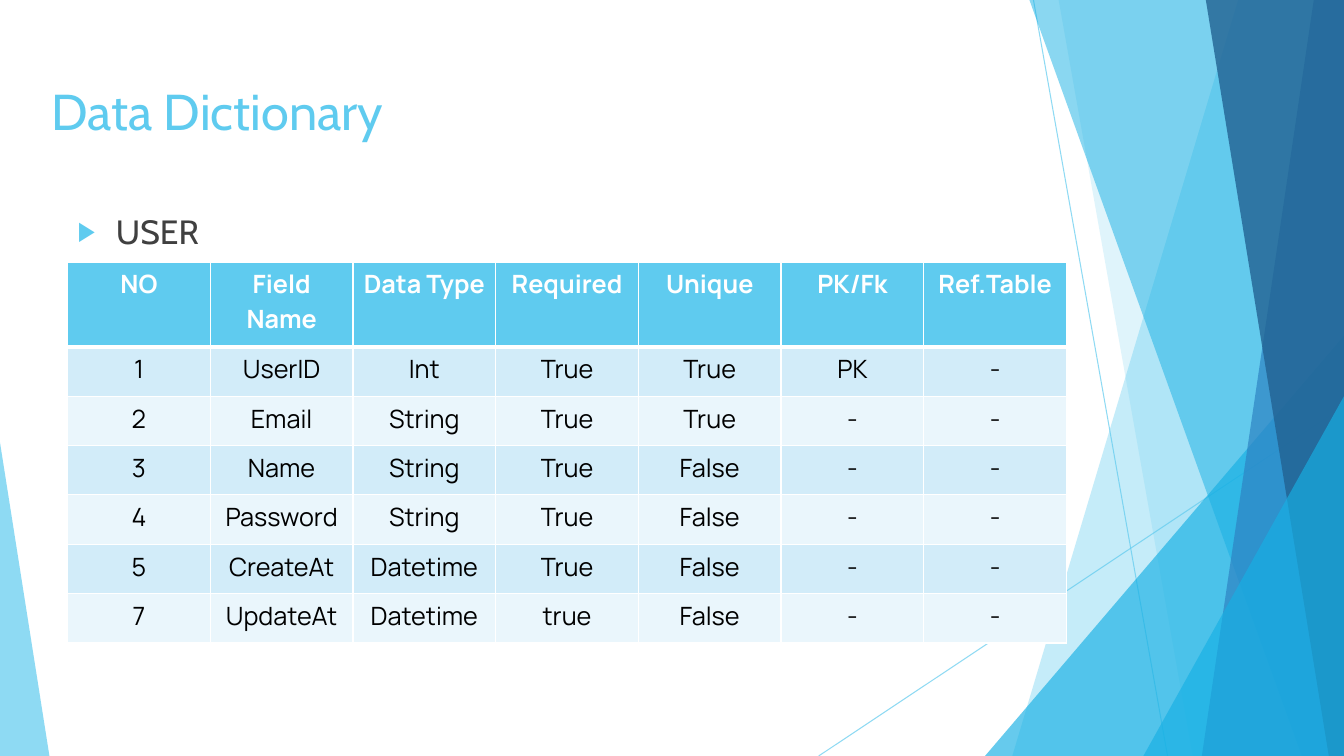
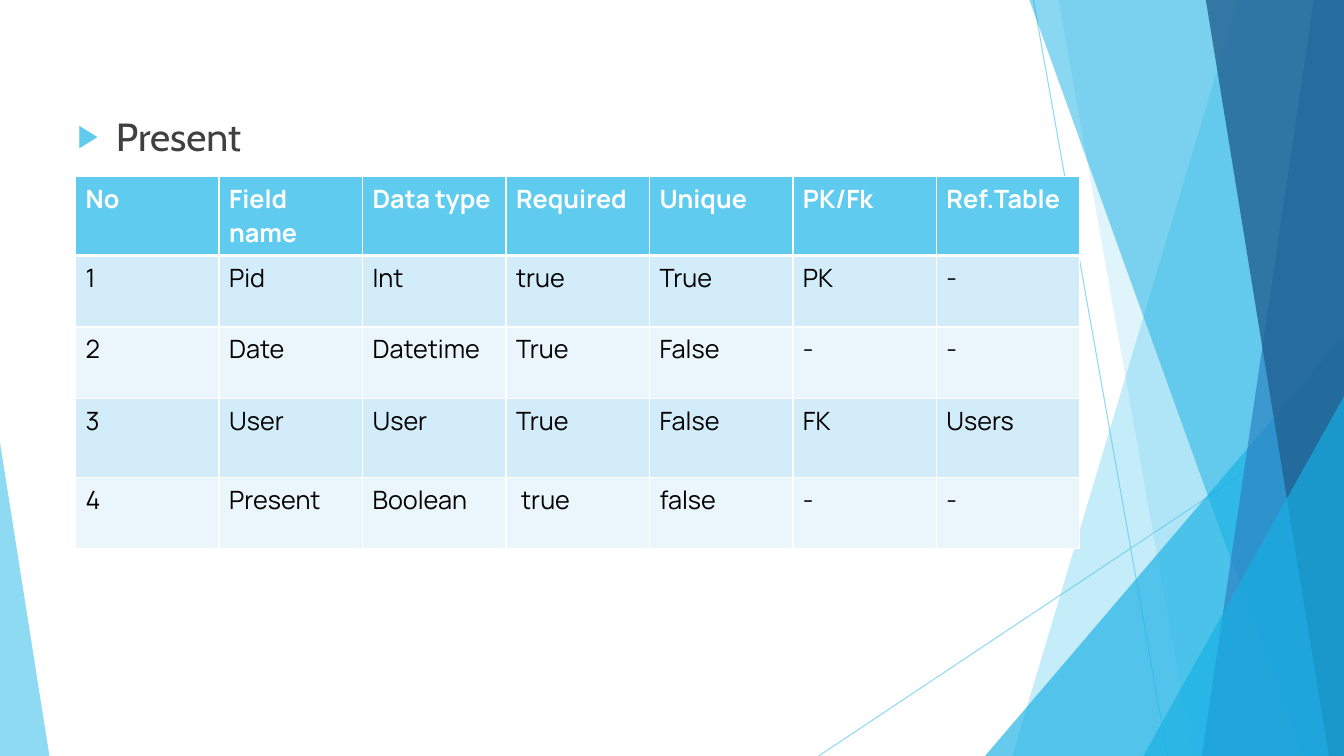
from pptx import Presentation
from pptx import util as u
from pptx.dml import color
from pptx.enum import shapes, text
from pptx.oxml import ns, xmlchemy
from lxml import etree

WIDTH, HEIGHT = 13.33, 7.5
SKY, AZURE, BLUE, NAVY = "5FCBEF", "17B0E4", "2E83C3", "226292"
WHITE, BLACK, GREY = "FFFFFF", "000000", "404040"
BANDS = ("D2ECF9", "EAF6FC")
TITLE_FONT, TABLE_FONT = "Cabin", "Manrope"

USER_ROWS = [
    ("NO", "Field Name", "Data Type", "Required", "Unique", "PK/Fk", "Ref.Table"),
    ("1", "UserID", "Int", "True", "True", "PK", "-"),
    ("2", "Email", "String", "True", "True", "-", "-"),
    ("3", "Name", "String", "True", "False", "-", "-"),
    ("4", "Password", "String", "True", "False", "-", "-"),
    ("5", "CreateAt", "Datetime", "True", "False", "-", "-"),
    ("7", "UpdateAt", "Datetime", "true", "False", "-", "-"),
]
PRESENT_ROWS = [
    ("No", "Field name", "Data type", "Required", "Unique", "PK/Fk", "Ref.Table"),
    ("1", "Pid", "Int", "true", "True", "PK", "-"),
    ("2", "Date", "Datetime", "True", "False", "-", "-"),
    ("3", "User", "User", "True", "False", "FK", "Users"),
    ("4", "Present", "Boolean", " true", "false", "-", "-"),
]


def rgb(value):
    """Turn a hex string into a colour."""
    return color.RGBColor.from_string(value)


def add_child(parent, tag, **attributes):
    """Append a drawing element with the given attributes."""
    values = {name: str(value) for name, value in attributes.items()}
    return etree.SubElement(parent, ns.qn(tag), values)


def set_alpha(shape, percent):
    """Make the explicit colours of a shape partly transparent."""
    for node in list(shape.element.iter(ns.qn("a:srgbClr"))):
        add_child(node, "a:alpha", val=percent * 1000)


def paint(shape, fill, percent):
    """Give a shape a transparent flat fill without outline or shadow."""
    shape.shadow.inherit = False
    shape.fill.solid()
    shape.fill.fore_color.rgb = rgb(fill)
    shape.line.fill.background()
    set_alpha(shape, percent)


def add_ray(group, start, end):
    """Draw a thin straight line between two points."""
    ray = group.shapes.add_connector(
        shapes.MSO_CONNECTOR.STRAIGHT, *(u.Inches(value) for value in start + end))
    ray.line.color.rgb = rgb(SKY)
    ray.line.width = u.Pt(0.75)
    add_child(ray.element.spPr, "a:effectLst")
    set_alpha(ray, 70)


def add_panel(group, top_x, bottom_x, fill, percent):
    """Draw a full-height panel from a slanted edge to the right side."""
    corners = [(WIDTH, 0), (WIDTH, HEIGHT), (bottom_x, HEIGHT)]
    builder = group.shapes.build_freeform(u.Inches(top_x), 0)
    builder.add_line_segments([(u.Inches(x), u.Inches(y)) for x, y in corners])
    paint(builder.convert_to_shape(), fill, percent)


def add_triangle(group, left, top, right, apex, fill, percent):
    """Draw a triangle that stands on the bottom edge."""
    triangle = group.shapes.add_shape(
        shapes.MSO_SHAPE.ISOSCELES_TRIANGLE, u.Inches(left), u.Inches(top),
        u.Inches(right - left), u.Inches(HEIGHT - top))
    triangle.adjustments[0] = apex
    paint(triangle, fill, percent)


def add_backdrop(deck, slide):
    """Draw the facets once and move them to the slide master."""
    group = slide.shapes.add_group_shape()
    add_ray(group, (10.25, 0), (11.58, HEIGHT))
    add_ray(group, (WIDTH, 4.03), (8.12, HEIGHT))
    add_panel(group, 12.28, 10.04, SKY, 36)
    add_panel(group, 10.5, 11.83, SKY, 20)
    add_triangle(group, 9.77, 3.33, WIDTH, 1, AZURE, 66)
    add_panel(group, 10.21, 12.91, AZURE, 50)
    add_panel(group, 13.03, 11.92, BLUE, 70)
    add_panel(group, 11.96, 13.18, NAVY, 80)
    add_triangle(group, 11.34, 3.93, WIDTH, 1, AZURE, 66)
    add_triangle(group, 0, 4.39, 0.49, 0, SKY, 70)
    for number, node in enumerate(group.element.iter(ns.qn("p:cNvPr")), 100):
        node.set("id", str(number))
    deck.slide_master.shapes.element.insert(2, group.element)


def format_para(para, font, size, ink, bold=False, align=text.PP_ALIGN.LEFT):
    """Set the alignment of a paragraph and the font of its runs."""
    para.alignment = align
    para.space_before = u.Pt(0)
    for span in para.runs:
        span.font.name = font
        span.font.size = u.Pt(size)
        span.font.bold = bold
        span.font.color.rgb = rgb(ink)


def fill_placeholder(box, words, left, top, height, size, ink):
    """Place a template placeholder and write its text."""
    box.left, box.top = u.Inches(left), u.Inches(top)
    box.width, box.height = u.Inches(9.4), u.Inches(height)
    frame = box.text_frame
    frame.text = words
    frame.word_wrap = True
    frame.auto_size = text.MSO_AUTO_SIZE.NONE
    frame.vertical_anchor = text.MSO_ANCHOR.TOP
    format_para(frame.paragraphs[0], TITLE_FONT, size, ink)
    return frame.paragraphs[0]


def add_title(slide, words):
    """Fill the title placeholder."""
    fill_placeholder(slide.shapes.title, words, 0.41, 0.74, 1.44, 36, SKY)


def add_heading(slide, words, top, size):
    """Fill the body placeholder with one arrow-bulleted line."""
    para = fill_placeholder(slide.placeholders[1], words, 0.67, top, 4.24, size, GREY)
    props = para._p.get_or_add_pPr()
    props.set("marL", str(u.Inches(0.38)))
    props.set("indent", str(-u.Inches(0.38)))
    add_child(add_child(props, "a:buClr"), "a:srgbClr", val=SKY)
    add_child(props, "a:buSzPct", val=80000)
    add_child(props, "a:buFont", typeface="Arial")
    add_child(props, "a:buChar", char="▶")


def set_borders(cell, top, bottom):
    """Draw white borders around a cell, with the given point widths."""
    props = cell._tc.get_or_add_tcPr()
    widths = {"a:lnL": 1, "a:lnR": 1, "a:lnT": top, "a:lnB": bottom}
    for place, (tag, width) in enumerate(widths.items()):
        line = xmlchemy.OxmlElement(tag)
        line.set("w", str(u.Pt(width)))
        add_child(add_child(line, "a:solidFill"), "a:srgbClr", val=WHITE)
        props.insert(place, line)


def add_data_table(slide, rows, left, top, width, heights, align):
    """Add a table with a coloured header and banded rows."""
    table = slide.shapes.add_table(
        len(rows), len(rows[0]), u.Inches(left), u.Inches(top),
        u.Inches(width), u.Inches(sum(heights))).table
    table.horz_banding = False
    for column in table.columns:
        column.width = u.Inches(width / len(rows[0]))
    for index, values in enumerate(rows):
        header = index == 0
        table.rows[index].height = u.Inches(heights[index])
        for cell, value in zip(table.rows[index].cells, values):
            cell.text_frame.text = value
            cell.fill.solid()
            cell.fill.fore_color.rgb = rgb(SKY if header else BANDS[(index - 1) % 2])
            set_borders(cell, 3 if index == 1 else 1, 3 if header else 1)
            format_para(cell.text_frame.paragraphs[0], TABLE_FONT, 18,
                        WHITE if header else BLACK, header, align)


def main():
    """Build and save the deck."""
    deck = Presentation()
    deck.slide_width, deck.slide_height = u.Inches(WIDTH), u.Inches(HEIGHT)
    layout = deck.slide_layouts[1]

    user_slide = deck.slides.add_slide(layout)
    add_backdrop(deck, user_slide)
    add_title(user_slide, "Data Dictionary")
    add_heading(user_slide, "USER", 2.04, 24)
    add_data_table(user_slide, USER_ROWS, 0.67, 2.6, 9.91,
                   [0.84] + [0.49] * 6, text.PP_ALIGN.CENTER)

    present_slide = deck.slides.add_slide(layout)
    title = present_slide.shapes.title.element
    title.getparent().remove(title)
    add_heading(present_slide, "Present", 1.06, 28)
    add_data_table(present_slide, PRESENT_ROWS, 0.75, 1.75, 9.96,
                   [0.76, 0.71, 0.71, 0.78, 0.71], text.PP_ALIGN.LEFT)

    deck.save("out.pptx")


if __name__ == "__main__":
    main()
